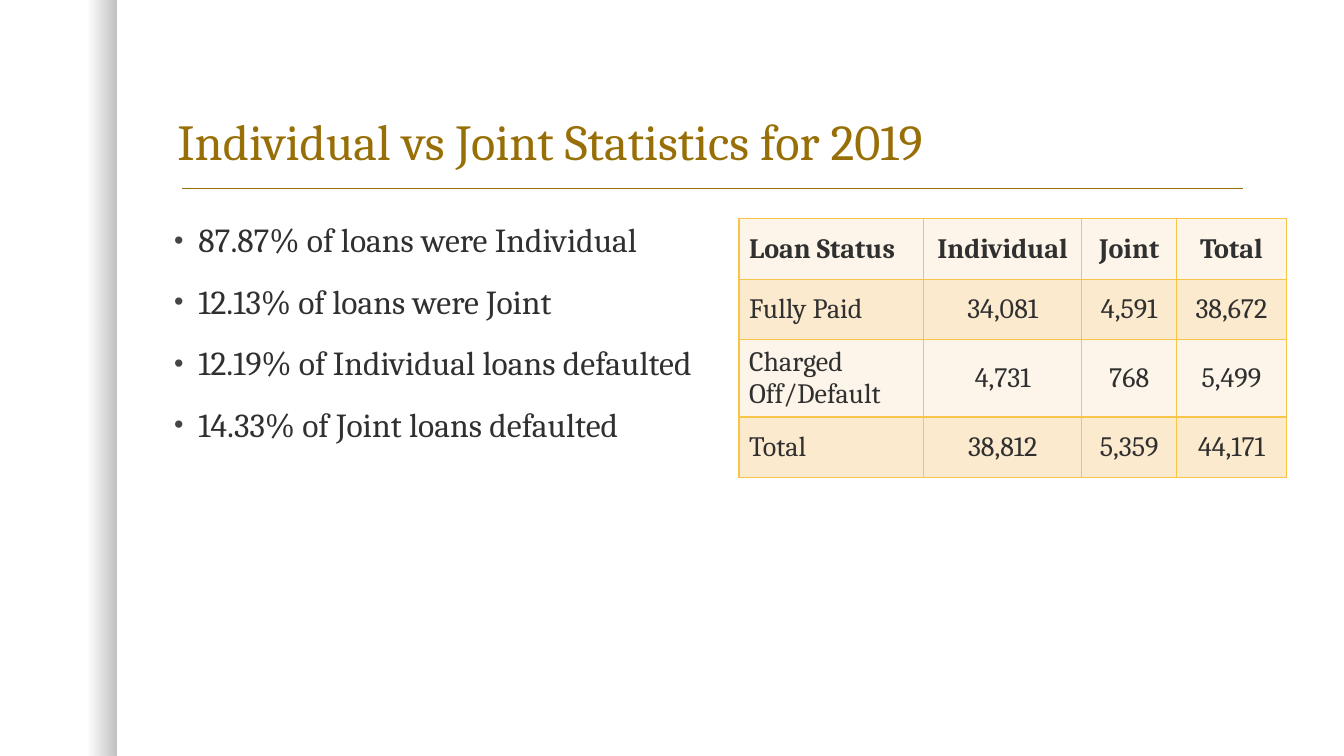
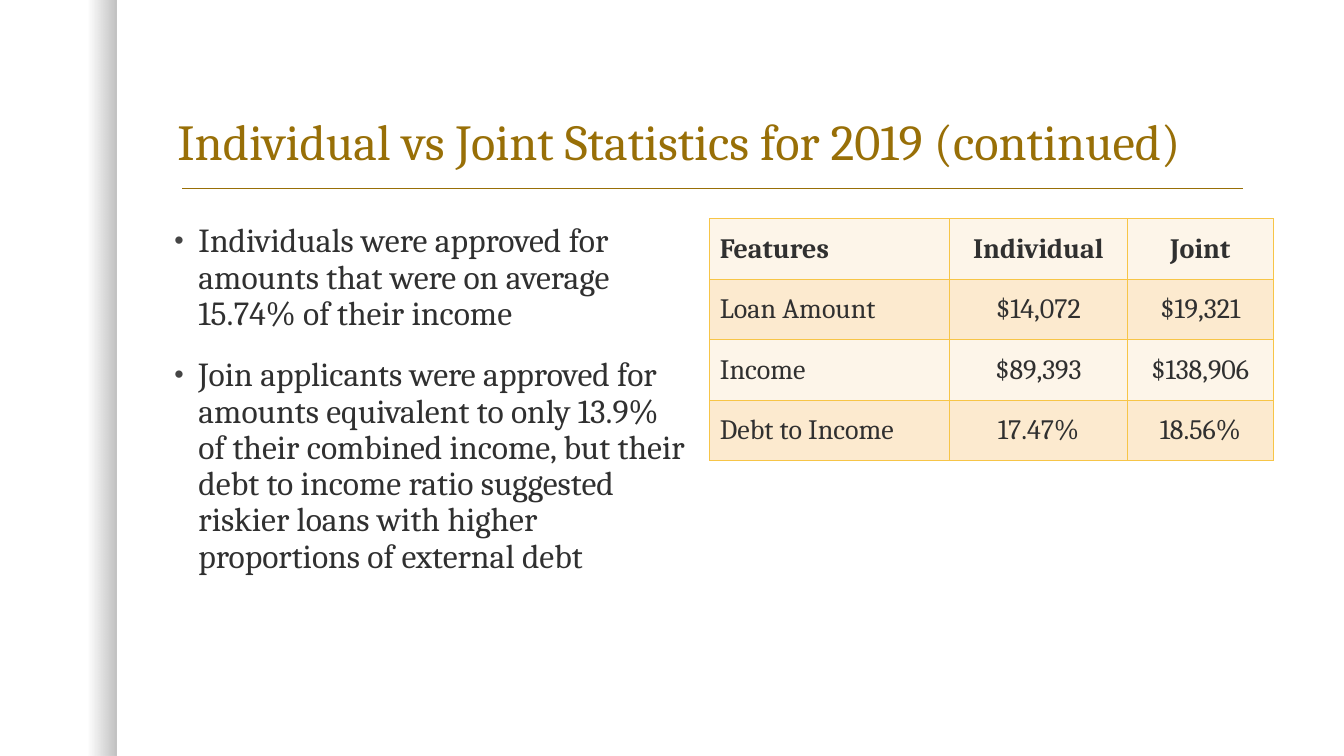
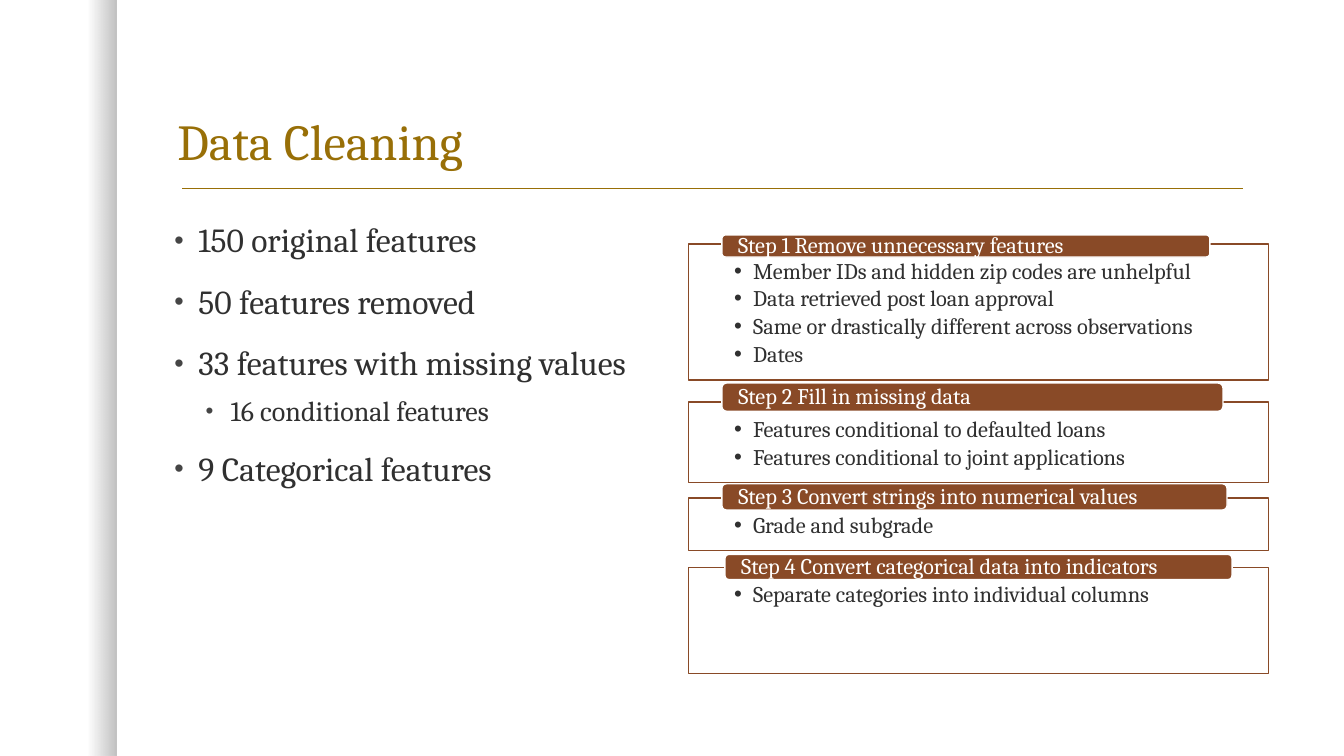
from dataclasses import dataclass

import pptx
import pptx.dml.color
import pptx.enum.shapes
import pptx.enum.text
import pptx.oxml
import pptx.oxml.ns
import pptx.util
from pptx.util import Inches, Pt

SHAPE = pptx.enum.shapes.MSO_SHAPE
ALIGN = pptx.enum.text.PP_ALIGN
ANCHOR = pptx.enum.text.MSO_ANCHOR


@dataclass(frozen=True)
class Theme:
    font: str = "Cambria"
    gold: str = "986F07"
    ink: str = "303030"
    bullet: str = "454545"
    brown: str = "894A27"
    white: str = "FFFFFF"
    shade: str = "000000"
    border: str = "F7C547"
    row_fills: tuple = ("FDF5E9", "FCEACF")
    title_size: int = 36
    body_size: int = 24
    table_size: int = 20
    step_size: int = 16
    spacing: float = 0.9


THEME = Theme()

# Bullets are (level, text)
TABLE_PAGES = [
    {
        "title": "Individual vs Joint Statistics for 2019",
        "bullets": [
            (0, "87.87% of loans were Individual"),
            (0, "12.13% of loans were Joint"),
            (0, "12.19% of Individual loans defaulted"),
            (0, "14.33% of Joint loans defaulted"),
        ],
        "body_width": 5.7,
        "table_left": 7.33,
        "columns": [1.83, 1.57, 0.94, 1.09],
        "rows": [
            ["Loan Status", "Individual", "Joint", "Total"],
            ["Fully Paid", "34,081", "4,591", "38,672"],
            ["Charged Off/Default", "4,731", "768", "5,499"],
            ["Total", "38,812", "5,359", "44,171"],
        ],
    },
    {
        "title": "Individual vs Joint Statistics for 2019 (continued)",
        "bullets": [
            (0, "Individuals were approved for amounts that were on average "
                "15.74% of their income"),
            (0, "Join applicants were approved for amounts equivalent to only "
                "13.9% of their combined income, but their debt to income ratio "
                "suggested riskier loans with higher proportions of external debt"),
        ],
        "body_width": 5.29,
        "table_left": 7.04,
        "columns": [2.38, 1.76, 1.45],
        "rows": [
            ["Features", "Individual", "Joint"],
            ["Loan Amount", "$14,072", "$19,321"],
            ["Income", "$89,393", "$138,906"],
            ["Debt to Income", "17.47%", "18.56%"],
        ],
    },
]

CLEANING_TITLE = "Data Cleaning"
CLEANING_BULLETS = [
    (0, "150 original features"),
    (0, "50 features removed"),
    (0, "33 features with missing values"),
    (1, "16 conditional features"),
    (0, "9 Categorical features"),
]
# Heading, its (left, top, width, height), panel (top, height), details
CLEANING_STEPS = [
    ("Step 1 Remove unnecessary features", (7.16, 2.33, 4.84, 0.22), (2.42, 1.35),
     ["Member IDs and hidden zip codes are unhelpful",
      "Data retrieved post loan approval",
      "Same or drastically different across observations",
      "Dates"]),
    ("Step 2 Fill in missing data", (7.16, 3.8, 4.97, 0.28), (3.99, 0.8),
     ["Features conditional to defaulted loans",
      "Features conditional to joint applications"]),
    ("Step 3 Convert strings into numerical values", (7.16, 4.8, 5.01, 0.26),
     (4.94, 0.52), ["Grade and subgrade"]),
    ("Step 4 Convert categorical data into indicators", (7.19, 5.5, 5.03, 0.25),
     (5.63, 1.05), ["Separate categories into individual columns"]),
]

CONTENT_TOP = 2.17
ROW_HEIGHT = 0.6
PANEL_LEFT, PANEL_WIDTH = 6.83, 5.75
# Per level: text indent, hanging indent, space before, type size
LEVELS = [(0.24, 0.24, 18, THEME.body_size), (0.56, 0.25, 10, THEME.table_size)]


def rgb(colour):
    return pptx.dml.color.RGBColor.from_string(colour)


def element(xml):
    """Parse one drawing element written without its namespace."""
    name, rest = xml[1:].split(" ", 1)
    namespace = pptx.oxml.ns.nsdecls("a")
    return pptx.oxml.parse_xml(f"<{name} {namespace} {rest}")


def style(para, size, colour, bold=False):
    for span in para.runs:
        span.font.name = THEME.font
        span.font.size = Pt(size)
        span.font.bold = bold
        span.font.color.rgb = rgb(colour)


def set_opacity(node, percents):
    """Give each plain colour under the node its opacity, in order."""
    colours = node.iter(pptx.oxml.ns.qn("a:srgbClr"))
    for colour, percent in zip(colours, percents):
        colour.append(element(f'<a:alpha val="{percent * 1000}"/>'))


def add_bullet(para, indent, hanging, colour, percent):
    properties = para._p.get_or_add_pPr()
    properties.set("marL", str(Inches(indent)))
    properties.set("indent", str(-Inches(hanging)))
    for xml in (f'<a:buClr ><a:srgbClr val="{colour}"/></a:buClr>',
                f'<a:buSzPct val="{percent * 1000}"/>',
                '<a:buFont typeface="Arial"/>',
                '<a:buChar char="•"/>'):
        properties.append(element(xml))


def set_insets(frame, left, top, right, bottom):
    frame.margin_left, frame.margin_right = Inches(left), Inches(right)
    frame.margin_top, frame.margin_bottom = Inches(top), Inches(bottom)


def add_box(page, kind, place, line=None):
    box = page.shapes.add_shape(kind, *map(Inches, place))
    box.shadow.inherit = False
    if line:
        box.line.color.rgb = rgb(line)
        box.line.width = Pt(1)
    else:
        box.line.fill.background()
    box.text_frame.word_wrap = True
    return box


def add_page(deck, title):
    """Add a slide with the shaded left band, the title and its rule."""
    page = deck.slides.add_slide(deck.slide_layouts[5])
    band = add_box(page, SHAPE.RECTANGLE, (0, 0, 1.16, 7.5))
    band.fill.gradient()
    band.fill.gradient_angle = 0
    for stop, position in zip(band.fill.gradient_stops, (0.75, 1)):
        stop.position = position
        stop.color.rgb = rgb(THEME.shade)
    set_opacity(band._element.spPr, (0, 25))

    rule = page.shapes.add_connector(
        pptx.enum.shapes.MSO_CONNECTOR.STRAIGHT,
        Inches(1.81), Inches(1.87), Inches(12.33), Inches(1.87))
    rule.line.color.rgb = rgb(THEME.gold)
    rule.line.width = Pt(1)
    rule._element.spPr.append(element("<a:effectLst />"))

    heading = page.shapes.title
    heading.left, heading.top = Inches(1.66), Inches(0.42)
    heading.width, heading.height = Inches(10.75), Inches(1.33)
    frame = heading.text_frame
    frame.text = title
    frame.word_wrap = True
    frame.auto_size = pptx.enum.text.MSO_AUTO_SIZE.NONE
    frame.vertical_anchor = ANCHOR.BOTTOM
    para = frame.paragraphs[0]
    para.alignment = ALIGN.LEFT
    para.line_spacing = THEME.spacing
    style(para, THEME.title_size, THEME.gold)
    return page


def add_body(page, bullets, width):
    box = page.shapes.add_textbox(
        Inches(1.63), Inches(CONTENT_TOP), Inches(width), Inches(4.58))
    frame = box.text_frame
    frame.word_wrap = True
    frame.text = "\n".join(text for _, text in bullets)
    for para, (level, _) in zip(frame.paragraphs, bullets):
        indent, hanging, before, size = LEVELS[level]
        para.level = level
        para.line_spacing = THEME.spacing
        para.space_before = Pt(before)
        add_bullet(para, indent, hanging, THEME.bullet, 80)
        style(para, size, THEME.ink)


def add_borders(cell):
    properties = cell._tc.get_or_add_tcPr()
    for index, side in enumerate("LRTB"):
        properties.insert(index, element(
            f'<a:ln{side} w="{Pt(1)}"><a:solidFill>'
            f'<a:srgbClr val="{THEME.border}"/></a:solidFill></a:ln{side}>'))


def add_statistics(page, left, columns, rows):
    table = page.shapes.add_table(
        len(rows), len(columns), Inches(left), Inches(CONTENT_TOP),
        Inches(sum(columns)), Inches(ROW_HEIGHT * len(rows))).table
    table.first_row = table.horz_banding = False
    for column, width in zip(table.columns, columns):
        column.width = Inches(width)
    for row_index, row in enumerate(rows):
        for column_index, text in enumerate(row):
            cell = table.cell(row_index, column_index)
            cell.text = text
            cell.vertical_anchor = ANCHOR.MIDDLE
            cell.fill.solid()
            cell.fill.fore_color.rgb = rgb(THEME.row_fills[row_index % 2])
            add_borders(cell)
            para = cell.text_frame.paragraphs[0]
            para.alignment = ALIGN.CENTER if column_index else ALIGN.LEFT
            style(para, THEME.table_size, THEME.ink, bold=row_index == 0)


def add_step(page, heading, heading_place, panel_span, details):
    """Add a framed list with its heading laid over the top edge."""
    top, height = panel_span
    panel = add_box(page, SHAPE.RECTANGLE,
                    (PANEL_LEFT, top, PANEL_WIDTH, height), THEME.brown)
    panel.fill.solid()
    panel.fill.fore_color.rgb = rgb(THEME.white)
    set_opacity(panel.fill._xPr.find(pptx.oxml.ns.qn("a:solidFill")), (90,))
    frame = panel.text_frame
    set_insets(frame, 0.45, 0.16, 0.45, 0.12)
    frame.vertical_anchor = ANCHOR.TOP
    frame.text = "\n".join(details)
    for para in frame.paragraphs:
        para.alignment = ALIGN.LEFT
        para.line_spacing = THEME.spacing
        para.space_after = Pt(THEME.step_size * 0.15)
        add_bullet(para, 0.19, 0.19, THEME.ink, 100)
        style(para, THEME.step_size, THEME.ink)

    label = add_box(page, SHAPE.ROUNDED_RECTANGLE, heading_place, THEME.white)
    label.fill.solid()
    label.fill.fore_color.rgb = rgb(THEME.brown)
    frame = label.text_frame
    set_insets(frame, 0.15, 0, 0.15, 0)
    frame.vertical_anchor = ANCHOR.MIDDLE
    frame.text = heading
    para = frame.paragraphs[0]
    para.alignment = ALIGN.LEFT
    para.line_spacing = THEME.spacing
    style(para, THEME.step_size, THEME.white)


def main():
    deck = pptx.Presentation()
    deck.slide_width, deck.slide_height = Inches(13.33), Inches(7.5)
    for content in TABLE_PAGES:
        page = add_page(deck, content["title"])
        add_body(page, content["bullets"], content["body_width"])
        add_statistics(page, content["table_left"], content["columns"],
                       content["rows"])
    page = add_page(deck, CLEANING_TITLE)
    add_body(page, CLEANING_BULLETS, 5.25)
    for step in CLEANING_STEPS:
        add_step(page, *step)
    deck.save("out.pptx")


if __name__ == "__main__":
    main()
